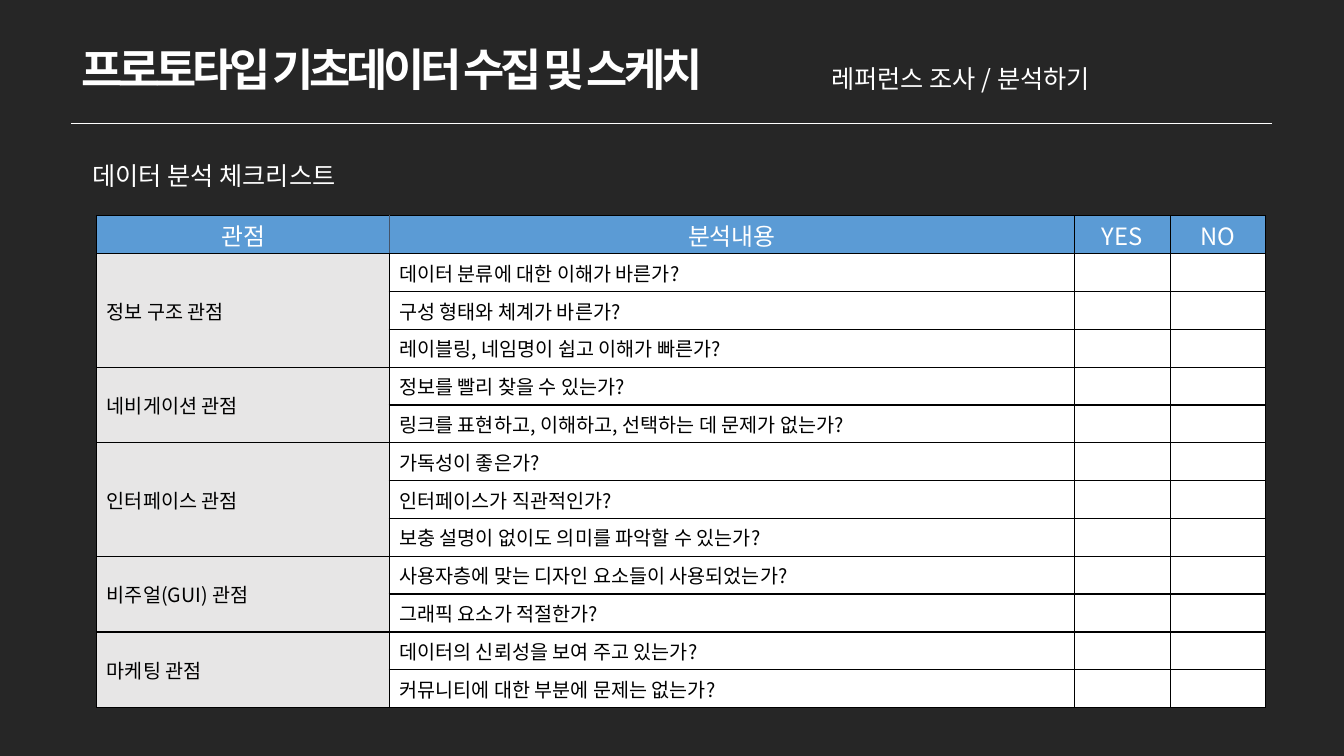
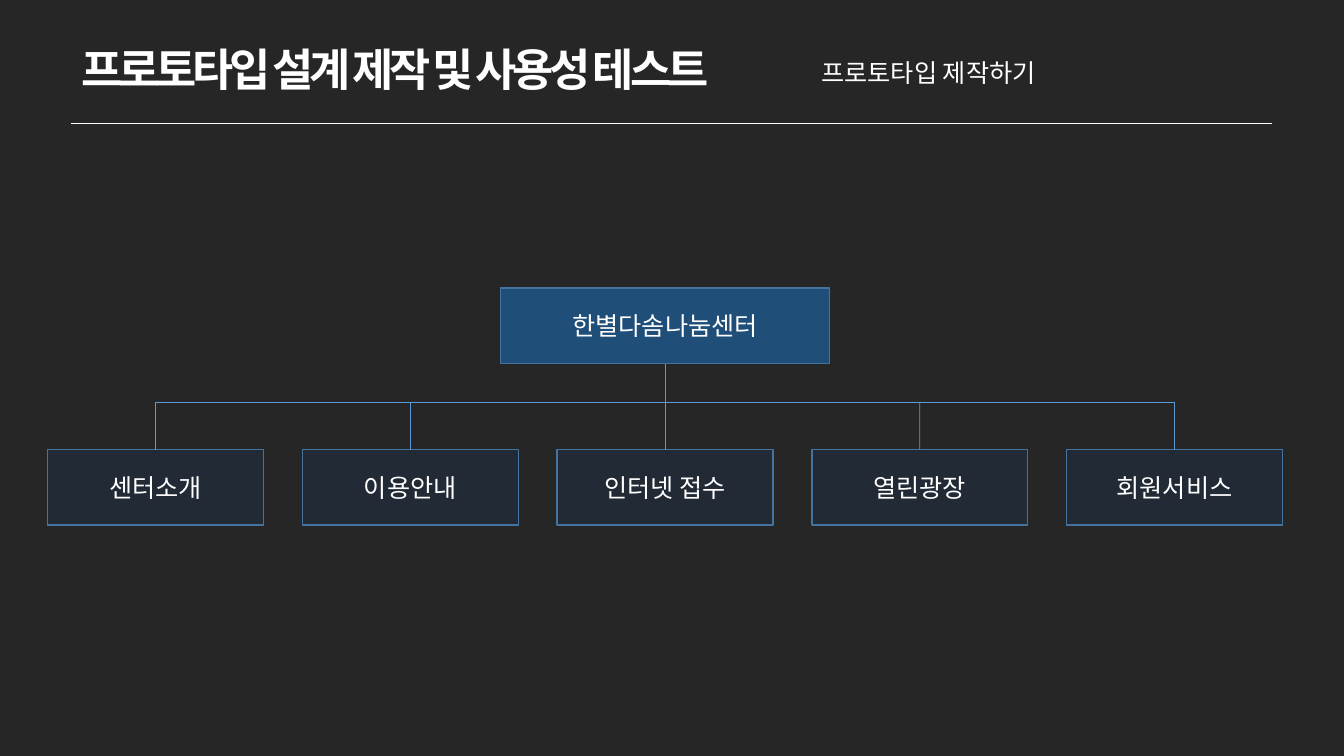
"""Build a checklist slide and a site map slide with a shared dark header."""
from lxml.etree import SubElement
from pptx import Presentation
from pptx.dml.color import RGBColor
from pptx.enum.shapes import MSO_CONNECTOR, MSO_SHAPE
from pptx.enum.text import MSO_ANCHOR, MSO_AUTO_SIZE, PP_ALIGN
from pptx.oxml.ns import qn
from pptx.util import Cm, Pt

FONT = "Noto Sans CJK KR"
WHITE = RGBColor(0xFF, 0xFF, 0xFF)
BLACK = RGBColor(0x00, 0x00, 0x00)
DARK = RGBColor(0x26, 0x26, 0x26)
GRAY = RGBColor(0xE7, 0xE6, 0xE6)
SLATE = RGBColor(0x44, 0x54, 0x6A)
BLUE = RGBColor(0x5B, 0x9B, 0xD5)
ROOT_BLUE = RGBColor(0x1F, 0x4E, 0x79)
NAVY = RGBColor(0x22, 0x2A, 0x35)
EDGE = RGBColor(0x43, 0x73, 0x9E)


def write(tf, text, size, color=WHITE, align=PP_ALIGN.LEFT, bold=False):
    tf.text = text
    p = tf.paragraphs[0]
    p.alignment = align
    r = p.runs[0]
    r.font.size, r.font.bold, r.font.name = Pt(size), bold, FONT
    r.font.color.rgb = color
    SubElement(r.font._element, qn("a:ea"), typeface=FONT)
    return r


def add_line(s, x1, y1, x2, y2, color):
    ln = s.shapes.add_connector(MSO_CONNECTOR.STRAIGHT, Cm(x1), Cm(y1), Cm(x2), Cm(y2))
    ln.line.color.rgb = color
    ln.line.width = Pt(0.5)
    SubElement(ln._element.spPr, qn("a:effectLst"))
    return ln


prs = Presentation()
prs.slide_width, prs.slide_height = Cm(33.87), Cm(19.05)
layout = prs.slide_layouts[5]
layout.background.fill.solid()
layout.background.fill.fore_color.rgb = DARK

pages = [
    ("프로토타입 기초데이터 수집 및 스케치",
     [("레퍼런스 조사 / 분석하기", 20.7, 1.47, 7.85),
      ("데이터 분석 체크리스트", 2.08, 3.91, 7.39)]),
    ("프로토타입 설계 제작 및 사용성 테스트",
     [("프로토타입 제작하기", 20.45, 1.32, 6.5)]),
]
for title, captions in pages:
    s = prs.slides.add_slide(layout)
    sp = s.shapes.title
    sp.left, sp.top, sp.width, sp.height = Cm(1.8), Cm(0.93), Cm(18.5), Cm(1.63)
    tf = sp.text_frame
    tf.vertical_anchor = MSO_ANCHOR.TOP
    tf.auto_size = MSO_AUTO_SIZE.SHAPE_TO_FIT_TEXT
    r = write(tf, title, 32, bold=True)
    r.font._element.set("spc", "-300")
    add_line(s, 1.8, 3.12, 32.05, 3.12, WHITE)
    for text, x, y, w in captions:
        tf = s.shapes.add_textbox(Cm(x), Cm(y), Cm(w), Cm(1.02)).text_frame
        tf.word_wrap = False
        tf.auto_size = MSO_AUTO_SIZE.SHAPE_TO_FIT_TEXT
        write(tf, text, 18)

checklist, sitemap = prs.slides

headers = ["관점", "분석내용", "YES", "NO"]
groups = [
    ("정보 구조 관점", ["데이터 분류에 대한 이해가 바른가?",
                  "구성 형태와 체계가 바른가?",
                  "레이블링, 네임명이 쉽고 이해가 빠른가?"]),
    ("네비게이션 관점", ["정보를 빨리 찾을 수 있는가?",
                  "링크를 표현하고, 이해하고, 선택하는 데 문제가 없는가?"]),
    ("인터페이스 관점", ["가독성이 좋은가?",
                  "인터페이스가 직관적인가?",
                  "보충 설명이 없이도 의미를 파악할 수 있는가?"]),
    ("비주얼(GUI) 관점", ["사용자층에 맞는 디자인 요소들이 사용되었는가?",
                    "그래픽 요소가 적절한가?"]),
    ("마케팅 관점", ["데이터의 신뢰성을 보여 주고 있는가?",
                "커뮤니티에 대한 부분에 문제는 없는가?"]),
]
n_rows = 1 + sum(len(questions) for _, questions in groups)
tbl = checklist.shapes.add_table(n_rows, 4, Cm(2.44), Cm(5.44), Cm(29.46), Cm(12.4)).table
for col, w in zip(tbl.columns, [7.37, 17.27, 2.41, 2.41]):
    col.width = Cm(w)

for i in range(n_rows):
    for j in range(4):
        cell = tbl.cell(i, j)
        cell.margin_top = cell.margin_bottom = 0
        cell.vertical_anchor = MSO_ANCHOR.MIDDLE
        tcPr = cell._tc.get_or_add_tcPr()
        for side in ("lnL", "lnR", "lnT", "lnB"):
            thin = i == 0 and (j, side) in [(0, "lnR"), (1, "lnL")]
            ln = SubElement(tcPr, qn("a:" + side), w=str(Pt(0.5 if thin else 1)))
            fill = SubElement(ln, qn("a:solidFill"))
            SubElement(fill, qn("a:srgbClr"), val=str(SLATE if thin else BLACK))
        cell.fill.solid()
        cell.fill.fore_color.rgb = BLUE if i == 0 else GRAY if j == 0 else WHITE

for j, text in enumerate(headers):
    write(tbl.cell(0, j).text_frame, text, 17, align=PP_ALIGN.CENTER)
row = 1
for group, questions in groups:
    tbl.cell(row, 0).merge(tbl.cell(row + len(questions) - 1, 0))
    write(tbl.cell(row, 0).text_frame, group, 14, BLACK)
    for question in questions:
        write(tbl.cell(row, 1).text_frame, question, 14, BLACK)
        row += 1

menus = ["센터소개", "이용안내", "인터넷 접수", "열린광장", "회원서비스"]
menu_x, menu_y, menu_w, step, bus_y = 1.2, 11.33, 5.44, 6.42, 10.13
boxes = [("한별다솜나눔센터", 12.62, 7.26, 8.28, ROOT_BLUE)]
boxes += [(text, menu_x + k * step, menu_y, menu_w, NAVY) for k, text in enumerate(menus)]
nodes = []
for text, x, y, w, color in boxes:
    sp = sitemap.shapes.add_shape(MSO_SHAPE.FLOWCHART_PROCESS, Cm(x), Cm(y), Cm(w), Cm(1.9))
    sp.shadow.inherit = False
    sp.fill.solid()
    sp.fill.fore_color.rgb = color
    sp.line.color.rgb = EDGE
    sp.line.width = Pt(1)
    sp.text_frame.vertical_anchor = MSO_ANCHOR.MIDDLE
    write(sp.text_frame, text, 18, align=PP_ALIGN.CENTER)
    nodes.append(sp)

root, *children = nodes
centers = [menu_x + menu_w / 2 + k * step for k in range(len(menus))]
add_line(sitemap, centers[0], bus_y, centers[-1], bus_y, BLUE)
for k, (child, x) in enumerate(zip(children, centers)):
    ln = add_line(sitemap, x, bus_y, x, menu_y, BLUE)
    if k == len(menus) // 2:
        ln.begin_connect(root, 2)
    ln.end_connect(child, 0)

prs.save("out.pptx")
